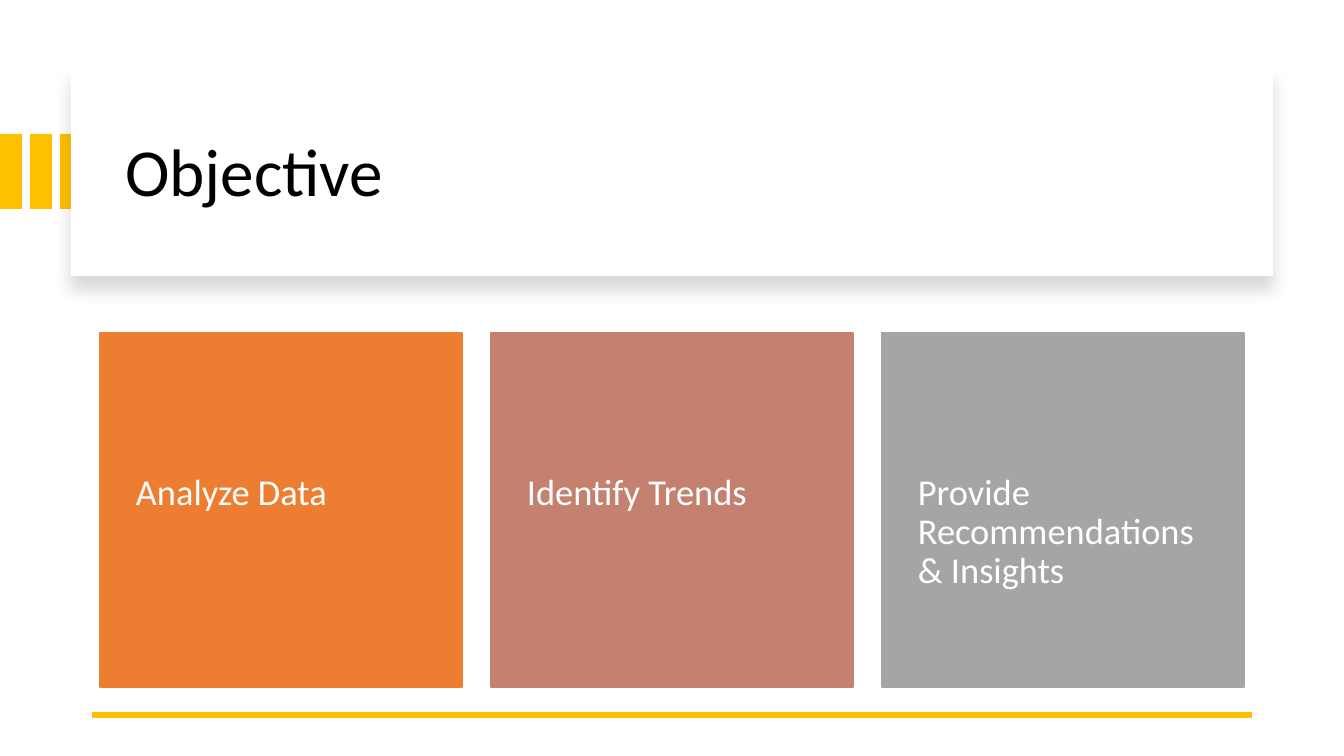
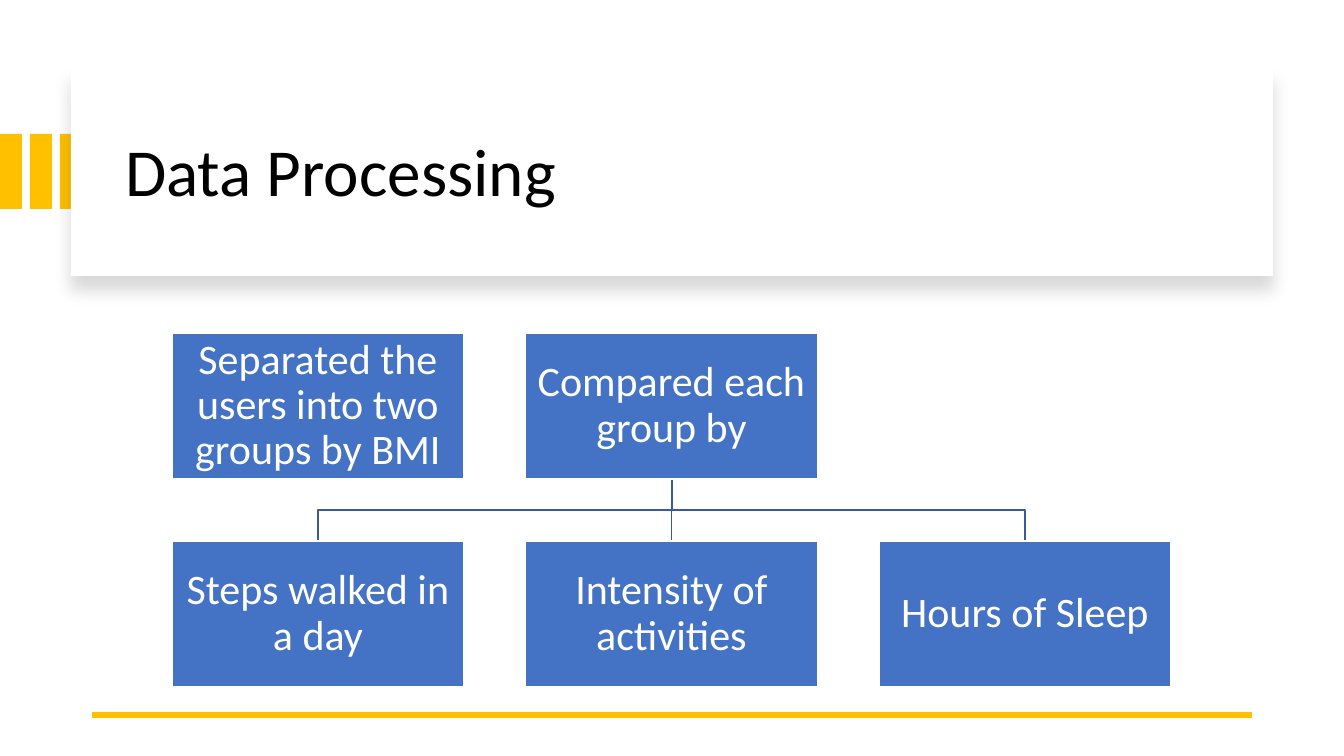
from pptx import Presentation
from pptx.dml.color import RGBColor
from pptx.enum.shapes import MSO_CONNECTOR, MSO_SHAPE
from pptx.enum.text import MSO_ANCHOR, PP_ALIGN
from pptx.oxml import parse_xml
from pptx.oxml.ns import nsdecls
from pptx.util import Emu, Pt

SCALE = 914400 / 100.8
FONT = "Calibri"
BLACK = RGBColor(0x00, 0x00, 0x00)
WHITE = RGBColor(0xFF, 0xFF, 0xFF)
GOLD = RGBColor(0xFF, 0xC0, 0x00)
ORANGE = RGBColor(0xED, 0x7D, 0x31)
ROSE = RGBColor(0xC4, 0x81, 0x70)
GRAY = RGBColor(0xA5, 0xA5, 0xA5)
BLUE = RGBColor(0x44, 0x72, 0xC4)
BRANCH_BLUE = RGBColor(0x36, 0x5B, 0x9D)

TITLE = dict(size=48, color=BLACK, align=PP_ALIGN.LEFT,
             anchor=MSO_ANCHOR.MIDDLE, insets=(10, 5, 10, 5), after=0)
GOAL = dict(size=26, color=WHITE, align=PP_ALIGN.LEFT,
            anchor=MSO_ANCHOR.TOP, insets=(36, 141, 36, 36), after=9)
STEP = dict(size=30, color=WHITE, align=PP_ALIGN.CENTER,
            anchor=MSO_ANCHOR.MIDDLE, insets=(2, 2, 2, 2), after=0)


def px(length):
    return Emu(round(length * SCALE))


def set_attributes(target, values):
    for name, value in values.items():
        setattr(target, name, value)


def write(shape, words, style):
    frame = shape.text_frame
    left, top, right, bottom = map(px, style["insets"])
    set_attributes(frame, dict(
        word_wrap=True, vertical_anchor=style["anchor"], margin_left=left,
        margin_top=top, margin_right=right, margin_bottom=bottom))
    paragraph = frame.paragraphs[0]
    set_attributes(paragraph, dict(
        alignment=style["align"], line_spacing=0.9,
        space_before=Pt(0), space_after=Pt(style["after"])))
    run = paragraph.add_run()
    run.text = words
    set_attributes(run.font, dict(name=FONT, size=Pt(style["size"])))
    run.font.color.rgb = style["color"]


def add_box(slide, box, fill, outline=None):
    shape = slide.shapes.add_shape(MSO_SHAPE.RECTANGLE, *map(px, box))
    shape.shadow.inherit = False
    shape.fill.solid()
    shape.fill.fore_color.rgb = fill
    if outline is None:
        shape.line.fill.background()
    else:
        shape.line.color.rgb = outline
        shape.line.width = Pt(1)
    return shape


def add_line(slide, start, end, color, width):
    line = slide.shapes.add_connector(
        MSO_CONNECTOR.STRAIGHT, *map(px, start + end))
    line.line.color.rgb = color
    line.line.width = Pt(width)
    line._element.spPr.append(parse_xml(f"<a:effectLst {nsdecls('a')}/>"))


def add_branch(slide, start, corners):
    builder = slide.shapes.build_freeform(*start, scale=SCALE)
    builder.add_line_segments(corners, close=False)
    branch = builder.convert_to_shape()
    branch.shadow.inherit = False
    branch.fill.background()
    branch.line.color.rgb = BRANCH_BLUE
    branch.line.width = Pt(1)


def cast_shadow(shape):
    effects = shape._element.spPr.find(
        "{http://schemas.openxmlformats.org/drawingml/2006/main}effectLst")
    effects.append(parse_xml(
        f"<a:outerShdw {nsdecls('a')} blurRad='{Pt(11)}' dist='{Pt(10)}' "
        "dir='5400000' algn='t' rotWithShape='0'><a:srgbClr val='000000'>"
        "<a:alpha val='15000'/></a:srgbClr></a:outerShdw>"))


def add_header(slide, box, title):
    left, top, width, height = box
    for index in range(3):
        add_box(slide, (index * 30, top + 67, 22, 75), GOLD)
    cast_shadow(add_box(slide, box, WHITE))
    heading = slide.shapes.add_textbox(
        *map(px, (left + 44, top + 22, width - 80, height - 37)))
    write(heading, title, TITLE)


def add_goals(slide, box, goals):
    left, top, width, height = box
    gap = 29
    tile_width = (width - gap * (len(goals) - 1)) / len(goals)
    for index, (goal, color) in enumerate(goals):
        tile = add_box(slide, (left + index * (tile_width + gap), top,
                               tile_width, height), color, color)
        write(tile, goal, GOAL)


def add_process(slide, box, steps, measures):
    left, top, width, height = box
    step_width, step_height = 292, 146
    pitch = (width - step_width) / (len(measures) - 1)
    lower_top = top + height - step_height
    upper_bottom = top + step_height
    middle = (upper_bottom + lower_top) / 2
    centers = [left + step_width / 2 + index * pitch
               for index in range(len(measures))]
    trunk = centers[len(steps) - 1]
    for center in centers:
        if center == trunk:
            add_line(slide, (trunk, upper_bottom), (trunk, lower_top),
                     BRANCH_BLUE, 1)
        else:
            add_branch(slide, (trunk, upper_bottom),
                       [(trunk, middle), (center, middle), (center, lower_top)])
    for row_top, row in ((top, steps), (lower_top, measures)):
        for center, words in zip(centers, row):
            step = add_box(slide, (center - step_width / 2, row_top,
                                   step_width, step_height), BLUE, WHITE)
            write(step, words, STEP)


def add_slide(deck, title):
    slide = deck.slides.add_slide(deck.slide_layouts[6])
    add_header(slide, (71, 67, 1202, 209), title)
    add_line(slide, (1252, 715), (92, 715), GOLD, 4.5)
    return slide


deck = Presentation()
set_attributes(deck, dict(slide_width=px(1344), slide_height=px(756)))
add_goals(add_slide(deck, "Objective"), (100, 333, 1144, 354), [
    ("Analyze Data", ORANGE),
    ("Identify Trends", ROSE),
    ("Provide Recommendations & Insights", GRAY),
])
add_process(
    add_slide(deck, "Data Processing"), (172, 333, 999, 354),
    ["Separated the users into two groups by BMI", "Compared each group by"],
    ["Steps walked in a day", "Intensity of activities", "Hours of Sleep"])
deck.save("out.pptx")
